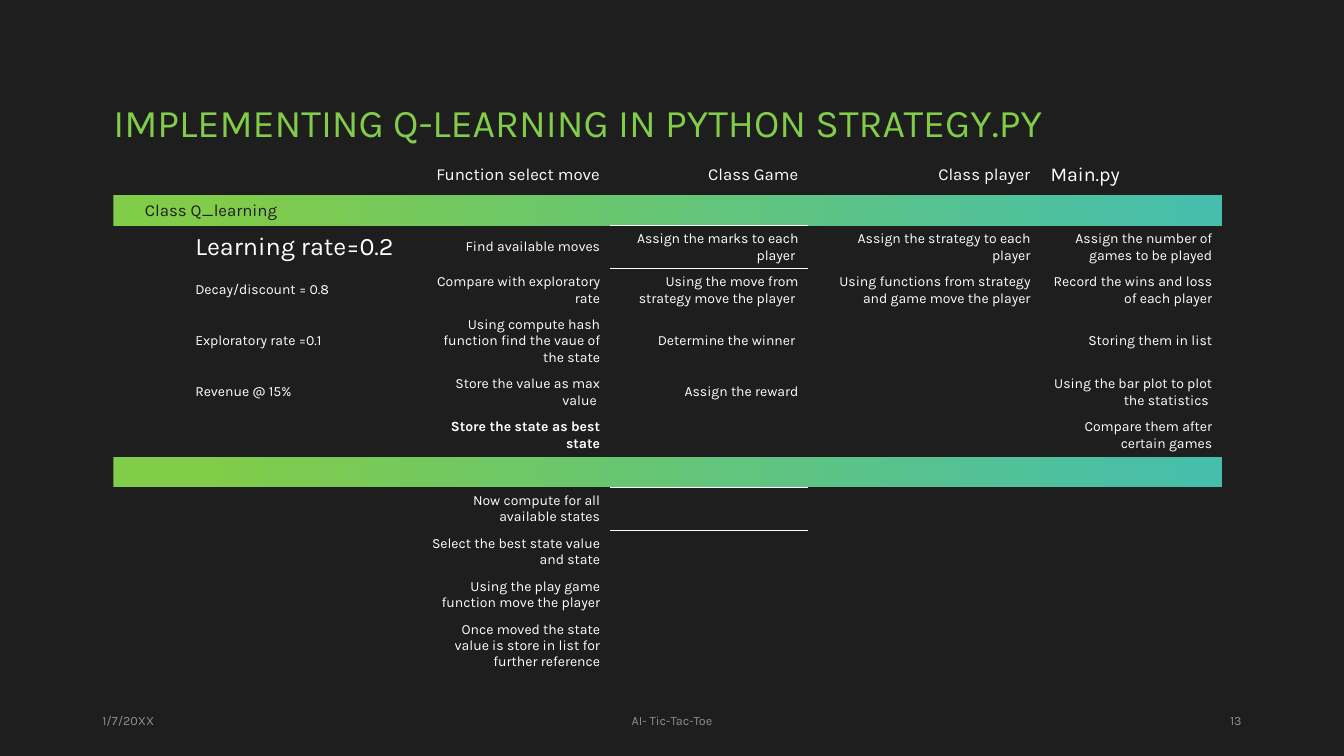
from dataclasses import dataclass, replace

from lxml import etree
from pptx import Presentation
from pptx.dml.color import RGBColor
from pptx.enum.text import MSO_ANCHOR, MSO_AUTO_SIZE, PP_ALIGN
from pptx.oxml.ns import qn
from pptx.util import Pt

LEFT, CENTER, RIGHT = PP_ALIGN.LEFT, PP_ALIGN.CENTER, PP_ALIGN.RIGHT
MIDDLE = MSO_ANCHOR.MIDDLE
NO_AUTOFIT = MSO_AUTO_SIZE.NONE

EMU_PER_PX = 9525
FONT = "Karla"
NO_STYLE_NO_GRID = "{2D5ABB26-0587-4C30-8999-92F81FD0307C}"

DARK = RGBColor(0x1E, 0x1E, 0x1E)
WHITE = RGBColor(0xFF, 0xFF, 0xFF)
GREEN = RGBColor(0x81, 0xCC, 0x48)
TEAL = RGBColor(0x45, 0xBE, 0xAD)
GREY = RGBColor(0x8E, 0x8E, 0x8E)


@dataclass(frozen=True)
class TextStyle:
    size: int
    color: RGBColor = WHITE
    align: PP_ALIGN = RIGHT
    bold: bool = False
    indent: int = 0


@dataclass(frozen=True)
class FooterPart:
    text: str
    left: int
    width: int
    align: PP_ALIGN


STEP = TextStyle(10)
HEADING = TextStyle(12)
PARAMETER = TextStyle(10, align=LEFT, indent=48)
BAND = TextStyle(12, DARK, LEFT)
TITLE = TextStyle(28, GREEN, LEFT)

COLUMN_WIDTHS = [287, 186, 189, 221, 173]
ROW_HEIGHTS = [38, 29, 41, 41, 55, 41, 41, 29, 41, 41, 41, 56, 34]
BAND_ROWS = (1, 7)
RULED_COLUMN = 2
PARAMETER_INSET = 30

STEPS = [
    ("", "Function select move", "Class Game", "Class player", "Main.py"),
    ("Class Q_learning",),
    ("Learning rate=0.2", "Find available moves", "Assign the marks to each player ",
     "Assign the strategy to each player", "Assign the number of games to be played"),
    ("Decay/discount = 0.8", "Compare with exploratory rate",
     "Using the move from strategy move the player ",
     "Using functions from strategy and game move the player",
     "Record the wins and loss of each player"),
    ("Exploratory rate =0.1", "Using compute hash function find the vaue of the state",
     "Determine the winner ", "", "Storing them in list"),
    ("Revenue @ 15%", "Store the value as max value ", "Assign the reward", "",
     "Using the bar plot to plot the statistics "),
    ("", "Store the state as best state", "", "", "Compare them after certain games"),
    (),
    ("", "Now compute for all available states"),
    ("", "Select the best state value and state"),
    ("", "Using the play game function move the player"),
    ("", "Once moved the state value is store in list for further reference"),
    (),
]

SPECIAL_STYLES = {
    (0, 4): replace(HEADING, size=14, align=LEFT),
    (2, 0): replace(PARAMETER, size=18),
    (6, 1): replace(STEP, bold=True),
}

FOOTER = [
    FooterPart("1/7/20XX", 88, 288, LEFT),
    FooterPart("AI- Tic-Tac-Toe", 424, 432, CENTER),
    FooterPart("13", 904, 288, RIGHT),
]


def px(length: int) -> int:
    return length * EMU_PER_PX


def write(frame, text: str, style: TextStyle) -> None:
    paragraph = frame.paragraphs[0]
    paragraph.alignment = style.align
    if style.indent:
        paragraph.level = 1
        properties = paragraph._p.get_or_add_pPr()
        properties.set("marL", str(px(style.indent)))
        properties.set("indent", "0")
    if text:
        paragraph.add_run().text = text
    else:
        # An empty cell takes its line height from the end mark
        etree.SubElement(paragraph._p, qn("a:endParaRPr"), sz=str(style.size * 100))
    font = paragraph.font
    font.name = FONT
    font.size = Pt(style.size)
    font.bold = style.bold
    font.color.rgb = style.color


def style_at(row: int, column: int) -> TextStyle:
    if row in BAND_ROWS:
        return BAND
    base = HEADING if row == 0 else PARAMETER if column == 0 else STEP
    return SPECIAL_STYLES.get((row, column), base)


def fill_band(cell) -> None:
    cell.fill.gradient()
    cell.fill.gradient_angle = 0
    for stop, position, color in zip(cell.fill.gradient_stops, (0.08, 1), (GREEN, TEAL)):
        stop.position = position
        stop.color.rgb = color


def rule_top(cell) -> None:
    line = etree.Element(qn("a:lnT"), w=str(Pt(1)))
    solid = etree.SubElement(line, qn("a:solidFill"))
    etree.SubElement(solid, qn("a:srgbClr"), val=str(WHITE))
    cell._tc.get_or_add_tcPr().insert(0, line)


def add_steps_table(slide) -> None:
    frame = slide.shapes.add_table(
        len(ROW_HEIGHTS), len(COLUMN_WIDTHS), px(108), px(148),
        px(sum(COLUMN_WIDTHS)), px(sum(ROW_HEIGHTS)))
    table = frame.table
    table.first_row = table.horz_banding = False
    table._tbl.tblPr.find(qn("a:tableStyleId")).text = NO_STYLE_NO_GRID
    for column, width in zip(table.columns, COLUMN_WIDTHS):
        column.width = px(width)
    for row, height in zip(table.rows, ROW_HEIGHTS):
        row.height = px(height)

    for r, texts in enumerate(STEPS):
        for c in range(len(COLUMN_WIDTHS)):
            cell = table.cell(r, c)
            cell.vertical_anchor = MIDDLE
            cell.fill.background()
            text = texts[c] if c < len(texts) else ""
            write(cell.text_frame, text, style_at(r, c))
            if c == 0 and text:
                cell.margin_left = px(PARAMETER_INSET)

    # Gradient bands, each with a short white rule beneath
    for r in BAND_ROWS:
        band = table.cell(r, 0)
        band.merge(table.cell(r, len(COLUMN_WIDTHS) - 1))
        fill_band(band)
        rule_top(table.cell(r + 1, RULED_COLUMN))


def add_footer_part(slide, part: FooterPart) -> None:
    box = slide.shapes.add_textbox(px(part.left), px(667), px(part.width), px(38))
    box.text_frame.word_wrap = True
    box.text_frame.vertical_anchor = MIDDLE
    write(box.text_frame, part.text, TextStyle(9, GREY, part.align))


def set_title(slide) -> None:
    title = slide.shapes.title
    title.left, title.top, title.width, title.height = px(108), px(70), px(1064), px(97)
    frame = title.text_frame
    frame.auto_size = NO_AUTOFIT
    frame.vertical_anchor = MIDDLE
    frame.margin_left = 0
    write(frame, "IMPLEMENTING Q-LEARNING IN PYTHON STRATEGY.PY", TITLE)
    frame.paragraphs[0].line_spacing = 0.9


def main() -> None:
    deck = Presentation()
    deck.slide_width, deck.slide_height = px(1280), px(720)
    slide = deck.slides.add_slide(deck.slide_layouts[5])
    slide.background.fill.solid()
    slide.background.fill.fore_color.rgb = DARK

    add_steps_table(slide)
    for part in FOOTER:
        add_footer_part(slide, part)
    set_title(slide)
    deck.save("out.pptx")


if __name__ == "__main__":
    main()
